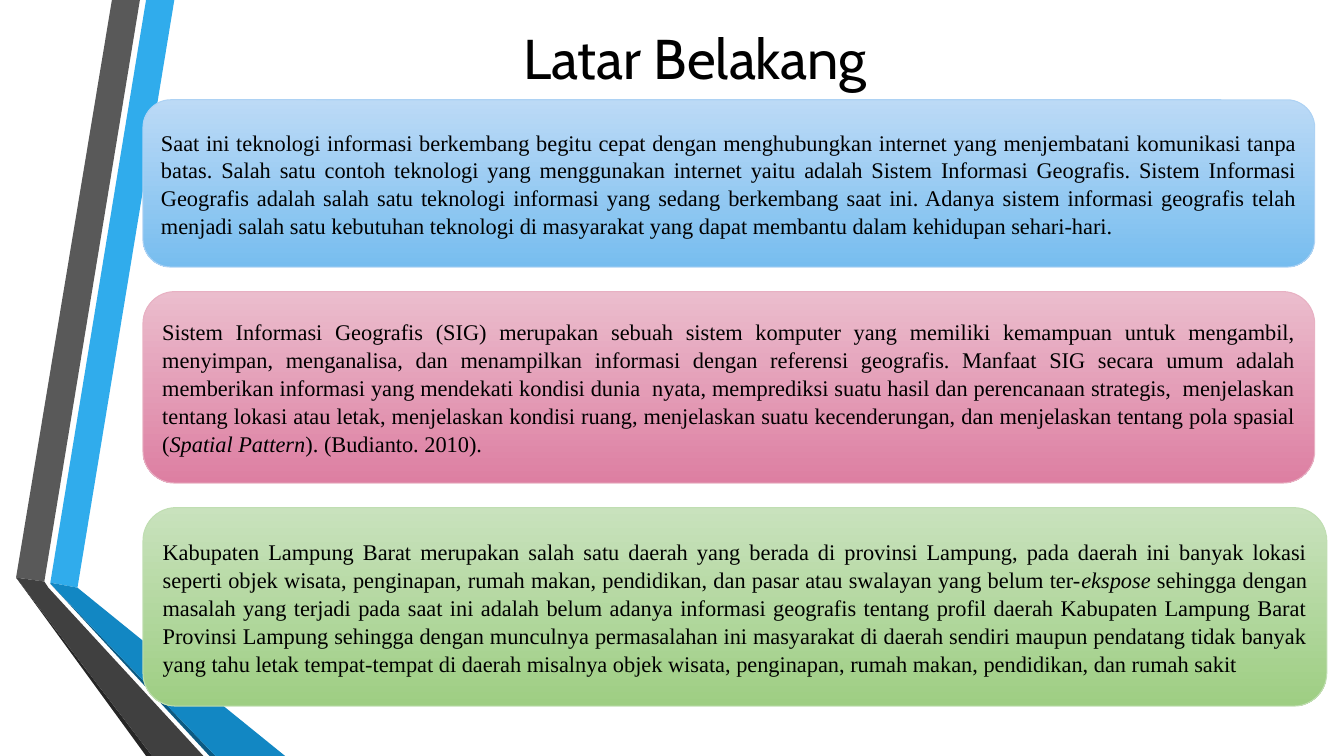
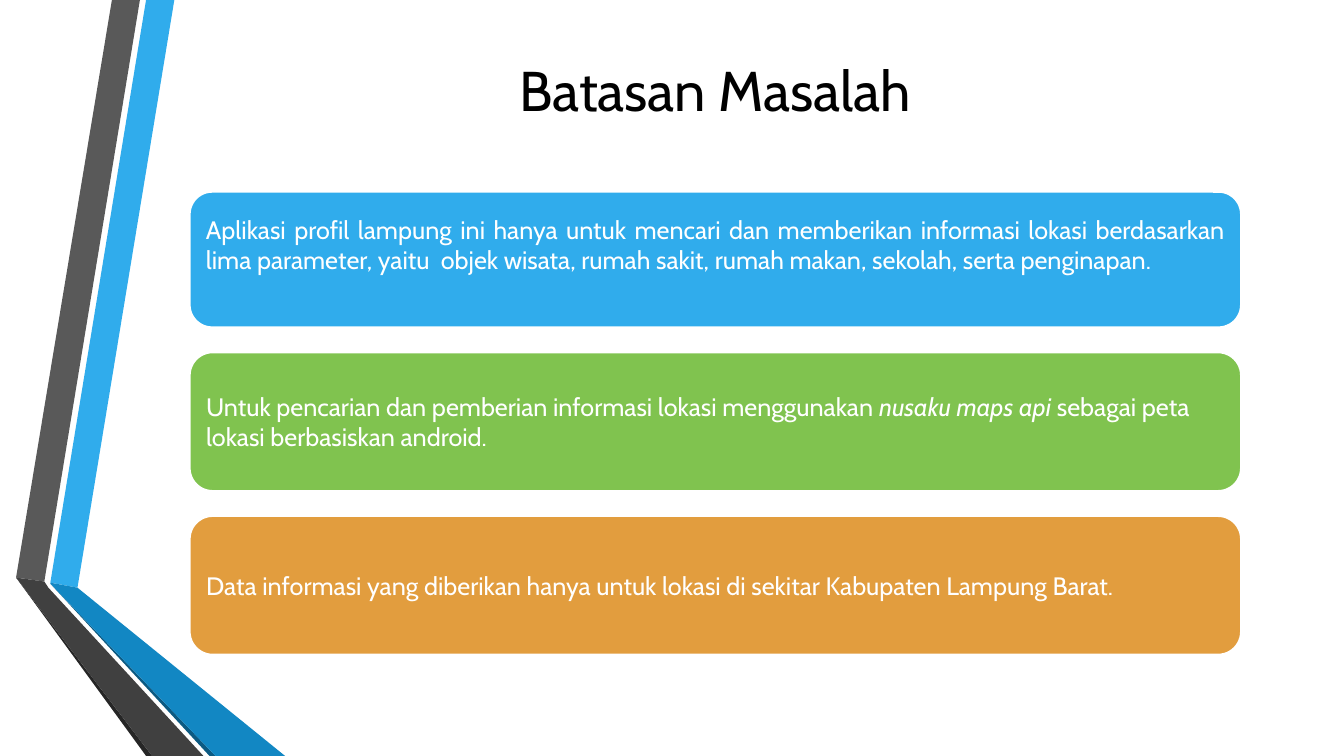
from pptx import Presentation
from pptx.dml.color import RGBColor as Rgb
from pptx.enum.shapes import MSO_SHAPE as Geo
from pptx.enum.text import MSO_ANCHOR as Anchor, MSO_AUTO_SIZE as Auto, PP_ALIGN as Align
from pptx.util import Pt

# Colours
BLACK = Rgb(0x00, 0x00, 0x00)
WHITE = Rgb(0xFF, 0xFF, 0xFF)
BLUE = Rgb(0x30, 0xAC, 0xEC)
GREEN = Rgb(0x80, 0xC3, 0x4F)
ORANGE = Rgb(0xE2, 0x9D, 0x3E)
GREY = Rgb(0x59, 0x59, 0x59)
INK = Rgb(0x26, 0x26, 0x26)
COAL = Rgb(0x40, 0x40, 0x40)
NAVY = Rgb(0x0C, 0x5A, 0x82)
DEEP = Rgb(0x12, 0x87, 0xC3)

# Gradient top, gradient bottom, outline
SKY = Rgb(0xBC, 0xDA, 0xF6), Rgb(0x77, 0xBD, 0xEF), Rgb(0xAD, 0xD2, 0xF4)
ROSE = Rgb(0xEB, 0xBD, 0xCD), Rgb(0xDD, 0x7F, 0xA2), Rgb(0xE8, 0xB1, 0xC3)
LEAF = Rgb(0xC9, 0xE2, 0xBD), Rgb(0x9E, 0xCE, 0x83), Rgb(0xC0, 0xDE, 0xB2)

SANS, SERIF = "Cabin", "Times New Roman"
GAP = 17.5

# Folded ribbons at the left edge, in points
BANDS = [
    (BLUE, [(36, 416.2), (55.4, 419.8), (124.6, 0), (104.4, 0)]),
    (GREY, [(100, 0), (80, 0), (11.5, 412.6), (31.7, 415.4)]),
    (INK, [(11.5, 412.6), (104.4, 540), (108.7, 540)]),
    (NAVY, [(36, 416.9), (149.8, 540), (154.1, 540)]),
    (DEEP, [(36, 416.9), (154.1, 540), (203.8, 540), (55.4, 419.8), (36, 416.2)]),
    (COAL, [(145.4, 540), (34.6, 419.8), (31.7, 415.4), (11.5, 412.6), (108.7, 540)]),
]


class Deck:
    """Holds the shared style and the current slide."""

    def __init__(self):
        self.prs = Presentation()
        self.prs.slide_width, self.prs.slide_height = Pt(960.5), Pt(540)
        self.slide = None

    def start(self, title, left, top, width, height):
        """Add a slide with its ribbons and title."""
        self.slide = self.prs.slides.add_slide(self.prs.slide_layouts[5])
        for color, points in BANDS:
            self.band(color, points)
        head = self.slide.shapes.title
        head.left, head.top = Pt(left), Pt(top)
        head.width, head.height = Pt(width), Pt(height)
        frame = head.text_frame
        frame.auto_size = Auto.NONE
        frame.vertical_anchor = Anchor.MIDDLE
        self.label(frame.paragraphs[0], [title], SANS, 40, BLACK, Align.CENTER)

    def band(self, color, points):
        """Draw one ribbon face."""
        spots = [(Pt(x), Pt(y)) for x, y in points]
        pen = self.slide.shapes.build_freeform(*spots[0])
        pen.add_line_segments(spots[1:], close=True)
        shape = pen.convert_to_shape()
        shape.shadow.inherit = False
        shape.fill.solid()
        shape.fill.fore_color.rgb = color
        shape.line.fill.background()

    def label(self, para, runs, face, size, color, align):
        """Add runs in turn; every second one is italic."""
        para.alignment = align
        for pos, text in enumerate(runs):
            run = para.add_run()
            run.text = text
            font = run.font
            font.name, font.size = face, Pt(size)
            font.italic = pos % 2 == 1
            font.color.rgb = color

    def card(self, left, top, width, height):
        """Add a rounded box and return it."""
        box = self.slide.shapes.add_shape(
            Geo.ROUNDED_RECTANGLE, Pt(left), Pt(top), Pt(width), Pt(height))
        box.shadow.inherit = False
        frame = box.text_frame
        frame.word_wrap = True
        frame.vertical_anchor = Anchor.MIDDLE
        return box

    def soft(self, left, top, width, height, tones, runs):
        """Card with a gradient and dark serif text."""
        box = self.card(left, top, width, height)
        box.fill.gradient()
        box.fill.gradient_angle = 270
        for stop, tone in zip(box.fill.gradient_stops, tones):
            stop.color.rgb = tone
        box.line.color.rgb = tones[2]
        box.line.width = Pt(0.75)
        para = box.text_frame.paragraphs[0]
        para.line_spacing = 1.04
        self.label(para, runs, SERIF, 16, BLACK, Align.JUSTIFY)

    def flat(self, left, top, width, height, color, runs, align, foot):
        """Card with a plain fill and white text."""
        box = self.card(left, top, width, height)
        box.fill.solid()
        box.fill.fore_color.rgb = color
        box.line.color.rgb = WHITE
        box.line.width = Pt(1.75)
        box.text_frame.margin_bottom = Pt(foot)
        self.label(box.text_frame.paragraphs[0], runs, SANS, 18, WHITE, align)

    def stack(self, draw, left, top, cards):
        """Draw cards downwards with equal gaps."""
        for width, height, *rest in cards:
            draw(left, top, width, height, *rest)
            top += height + GAP


def main():
    deck = Deck()

    # Background
    deck.start("Latar Belakang", 102.2, 12.2, 789, 57.6)
    deck.stack(deck.soft, 102.2, 71.3, [
        (837.4, 119.5, SKY, [
            "Saat ini teknologi informasi berkembang begitu cepat dengan "
            "menghubungkan internet yang menjembatani komunikasi tanpa batas. "
            "Salah satu contoh teknologi yang menggunakan internet yaitu adalah "
            "Sistem Informasi Geografis. Sistem Informasi Geografis adalah salah "
            "satu teknologi informasi yang sedang berkembang saat ini. Adanya "
            "sistem informasi geografis telah menjadi salah satu kebutuhan "
            "teknologi di masyarakat yang dapat membantu dalam kehidupan "
            "sehari-hari."]),
        (837.4, 136.8, ROSE, [
            "Sistem Informasi Geografis (SIG) merupakan sebuah sistem komputer "
            "yang memiliki kemampuan untuk mengambil, menyimpan, menganalisa, "
            "dan menampilkan informasi dengan referensi geografis. Manfaat SIG "
            "secara umum adalah memberikan informasi yang mendekati kondisi "
            "dunia  nyata, memprediksi suatu hasil dan perencanaan strategis,  "
            "menjelaskan tentang lokasi atau letak, menjelaskan kondisi ruang, "
            "menjelaskan suatu kecenderungan, dan menjelaskan tentang pola "
            "spasial (",
            "Spatial Pattern",
            "). (Budianto. 2010)."]),
        (846, 141.8, LEAF, [
            "Kabupaten Lampung Barat merupakan salah satu daerah yang berada di "
            "provinsi Lampung, pada daerah ini banyak lokasi seperti objek "
            "wisata, penginapan, rumah makan, pendidikan, dan pasar atau "
            "swalayan yang belum ter-",
            "ekspose",
            " sehingga dengan masalah yang terjadi pada saat ini adalah belum "
            "adanya informasi geografis tentang profil daerah Kabupaten Lampung "
            "Barat Provinsi Lampung sehingga dengan munculnya permasalahan ini "
            "masyarakat di daerah sendiri maupun pendatang tidak banyak yang "
            "tahu letak tempat-tempat di daerah misalnya objek wisata, "
            "penginapan, rumah makan, pendidikan, dan rumah sakit"]),
    ])

    # Scope
    deck.start("Batasan Masalah", 116.6, 7.9, 789, 111.6)
    deck.stack(deck.flat, 135.4, 136.8, [
        (751.7, 97.2, BLUE, [
            "Aplikasi profil lampung ini hanya untuk mencari dan memberikan "
            "informasi lokasi berdasarkan lima parameter, yaitu  objek wisata, "
            "rumah sakit, rumah makan, sekolah, serta penginapan."],
         Align.JUSTIFY, 25),
        (751.7, 99.4, GREEN, [
            "Untuk pencarian dan pemberian informasi lokasi menggunakan ",
            "nusaku maps api",
            " sebagai peta lokasi berbasiskan android."],
         Align.LEFT, 3.6),
        (751.7, 99.4, ORANGE, [
            "Data informasi yang diberikan hanya untuk lokasi di sekitar "
            "Kabupaten Lampung Barat."],
         Align.LEFT, 3.6),
    ])

    deck.prs.save("out.pptx")


if __name__ == "__main__":
    main()
